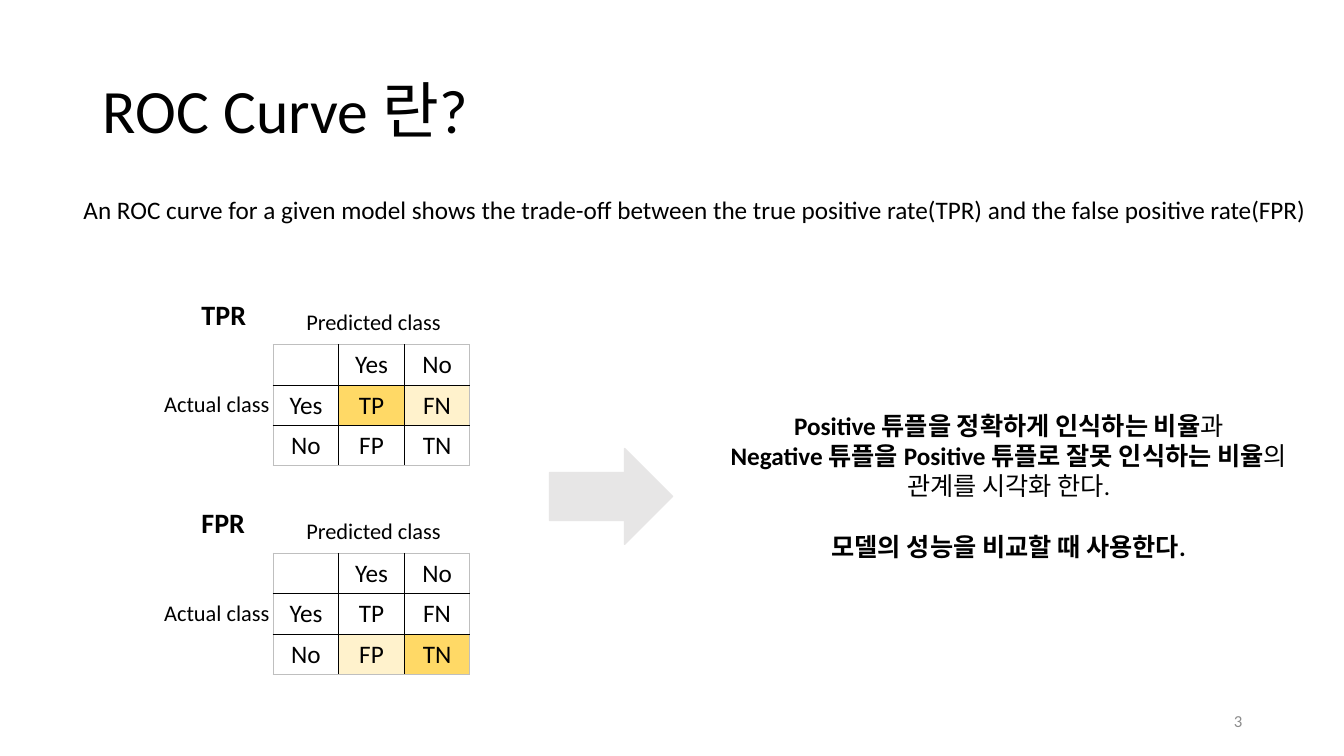
import pptx
import pptx.util
import pptx.dml.color
import pptx.enum.shapes
import pptx.enum.text
import pptx.oxml

Inches = pptx.util.Inches
Pt = pptx.util.Pt
ALIGN = pptx.enum.text.PP_ALIGN
ANCHOR = pptx.enum.text.MSO_ANCHOR

COLORS = {
    "text": "000000",
    "number": "8C8C8C",
    "arrow": "E7E6E6",
    "plain": "FFFFFF",
    "strong": "FFD966",
    "light": "FFF2CC",
    "inner": "000000",
    "outer": "BFBFBF",
}
FONT = "Calibri"
CELL_WIDTH, CELL_HEIGHT = 0.65, 0.4
LABELS = [["", "Yes", "No"], ["Yes", "TP", "FN"], ["No", "FP", "TN"]]
MATRICES = [
    ("TPR", 3.42, {"TP": "strong", "FN": "light"}),
    ("FPR", 5.49, {"FP": "light", "TN": "strong"}),
]
SUMMARY = [
    [("Positive 튜플을 정확하게 인식하는 비율", True), ("과", False)],
    [("Negative 튜플을 Positive 튜플로 잘못 인식하는 비율", True), ("의", False)],
    [("관계를 시각화 한다.", False)],
    [("모델의 성능을 비교할 때 사용한다.", True)],
]


def style(para, size, color="text", bold=False, align=ALIGN.LEFT):
    para.alignment = align
    para.font.name = FONT
    para.font.size = Pt(size)
    para.font.bold = bold
    para.font.color.rgb = pptx.dml.color.RGBColor.from_string(COLORS[color])


def add_text(left, top, width, height, text, size, **look):
    box = slide.shapes.add_textbox(Inches(left), Inches(top), Inches(width), Inches(height))
    box.text_frame.word_wrap = True
    para = box.text_frame.paragraphs[0]
    para.text = text
    style(para, size, **look)
    return box


deck = pptx.Presentation()
deck.slide_width = Inches(13.33)
deck.slide_height = Inches(7.5)
slide = deck.slides.add_slide(deck.slide_layouts[5])

title = slide.shapes.title
title.left, title.top = Inches(0.92), Inches(0.4)
title.width, title.height = Inches(11.5), Inches(1.45)
title.text_frame.text = "ROC Curve 란?"
title.text_frame.auto_size = pptx.enum.text.MSO_AUTO_SIZE.NONE
title.text_frame.vertical_anchor = ANCHOR.MIDDLE
title.text_frame.paragraphs[0].line_spacing = 0.9
style(title.text_frame.paragraphs[0], 44)

add_text(0.73, 1.88, 12.6, 0.4,
         "An ROC curve for a given model shows the trade-off between "
         "the true positive rate(TPR) and the false positive rate(FPR)", 18)

for name, top, highlights in MATRICES:
    frame = slide.shapes.add_table(3, 3, Inches(2.71), Inches(top),
                                   Inches(3 * CELL_WIDTH), Inches(3 * CELL_HEIGHT))
    table = frame.table
    table.first_row = False
    table.horz_banding = False
    for column in table.columns:
        column.width = Inches(CELL_WIDTH)
    for row_index, labels in enumerate(LABELS):
        table.rows[row_index].height = Inches(CELL_HEIGHT)
        for column_index, label in enumerate(labels):
            cell = table.cell(row_index, column_index)
            cell.text = label
            style(cell.text_frame.paragraphs[0], 18, align=ALIGN.CENTER)
            edges = {"lnL": column_index == 0, "lnR": column_index == 2,
                     "lnT": row_index == 0, "lnB": row_index == 2}
            properties = cell._tc.get_or_add_tcPr()
            for edge, is_outer in edges.items():
                color = COLORS["outer" if is_outer else "inner"]
                properties.append(pptx.oxml.parse_xml(
                    f'<a:{edge} xmlns:a="http://schemas.openxmlformats.org/drawingml/2006/main" '
                    f'w="{Pt(1)}"><a:solidFill><a:srgbClr val="{color}"/></a:solidFill></a:{edge}>'))
            cell.fill.solid()
            cell.fill.fore_color.rgb = pptx.dml.color.RGBColor.from_string(
                COLORS[highlights.get(label, "plain")])
    add_text(1.9, top - 0.52, 0.68, 0.44, name, 20, bold=True)
    add_text(2.94, top - 0.41, 2.41, 0.37, "Predicted class", 16)
    add_text(1.53, top + CELL_HEIGHT, 1.41, 0.37, "Actual class", 16)

arrow = slide.shapes.add_shape(pptx.enum.shapes.MSO_SHAPE.RIGHT_ARROW,
                               Inches(5.45), Inches(4.45), Inches(1.22), Inches(0.95))
arrow.shadow.inherit = False
arrow_color = pptx.dml.color.RGBColor.from_string(COLORS["arrow"])
arrow.fill.solid()
arrow.fill.fore_color.rgb = arrow_color
arrow.line.color.rgb = arrow_color
arrow.line.width = Pt(1)

summary = add_text(6.97, 4.02, 6.07, 1.62, "", 18).text_frame
for index, spans in enumerate(SUMMARY):
    para = summary.add_paragraph() if index else summary.paragraphs[0]
    style(para, 18, align=ALIGN.CENTER)
    for text, bold in spans:
        span = para.add_run()
        span.text = text
        span.font.bold = bold
summary.paragraphs[-1].space_before = Pt(22)

number = add_text(9.42, 6.95, 3, 0.4, "3", 12, color="number", align=ALIGN.RIGHT)
number.text_frame.vertical_anchor = ANCHOR.MIDDLE

deck.save("out.pptx")
